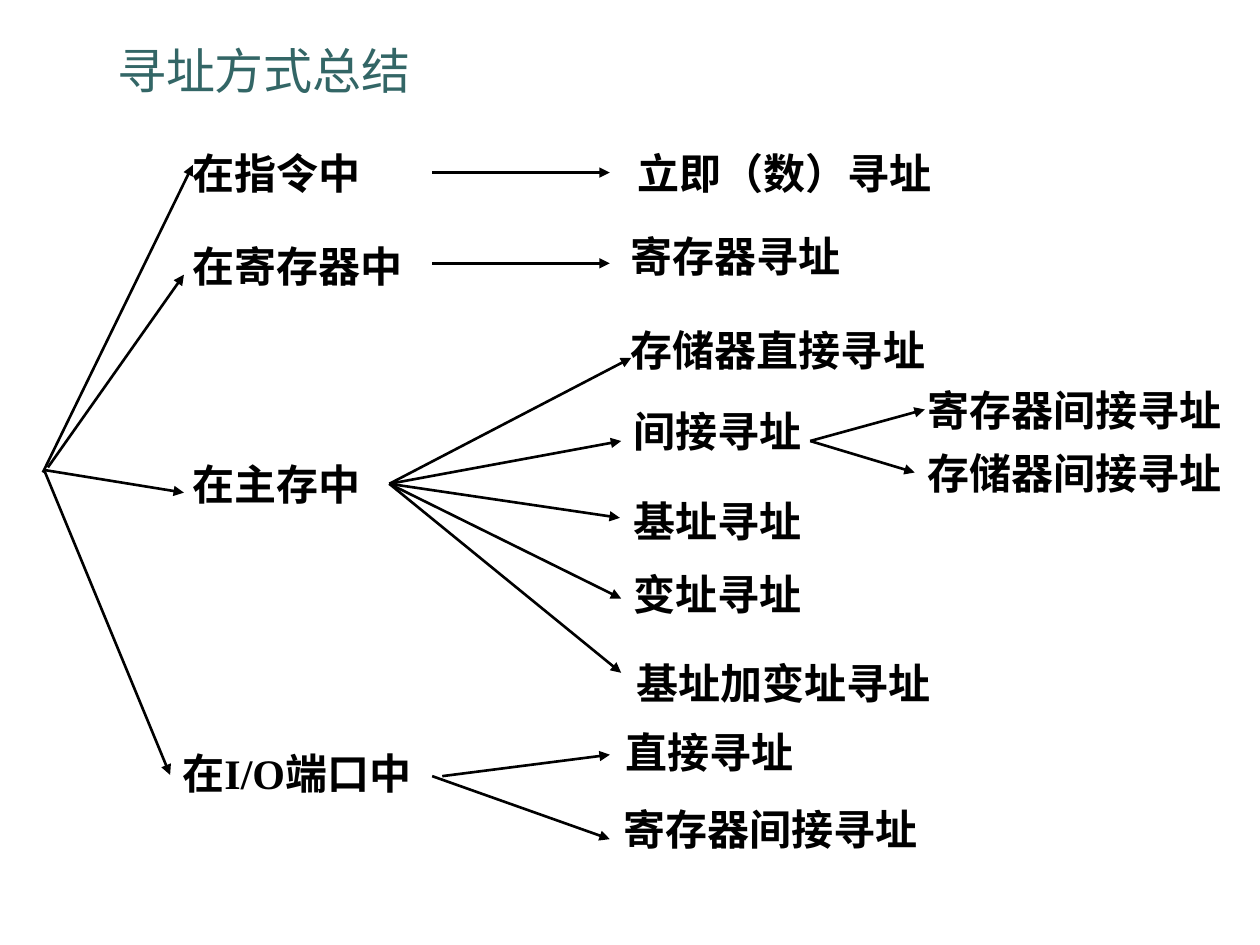
from lxml import etree
from pptx import Presentation
from pptx.dml.color import RGBColor
from pptx.enum import shapes, text
from pptx.oxml.ns import qn
from pptx.util import Inches, Pt

COLORS = {"title": "336666", "ink": "000000"}
LATIN, ASIAN = "Times New Roman", "Noto Sans CJK SC"
TITLE = "寻址方式总结"

# label, left, top
LABELS = [
    ("在指令中", 1.43, 1.12),
    ("在寄存器中", 1.43, 1.86),
    ("在主存中", 1.43, 3.59),
    ("在I/O端口中", 1.35, 5.88),
    ("立即（数）寻址", 4.96, 1.12),
    ("寄存器寻址", 4.91, 1.78),
    ("存储器直接寻址", 4.91, 2.53),
    ("间接寻址", 4.93, 3.17),
    ("基址寻址", 4.93, 3.88),
    ("变址寻址", 4.93, 4.46),
    ("基址加变址寻址", 4.95, 5.17),
    ("直接寻址", 4.87, 5.72),
    ("寄存器间接寻址", 4.85, 6.33),
    ("寄存器间接寻址", 7.26, 3),
    ("存储器间接寻址", 7.26, 3.5),
]

# start point, end points
FANS = [
    ((0.34, 3.75), [(1.53, 1.31)]),
    ((0.38, 3.71), [(1.46, 2.18)]),
    ((0.35, 3.73), [(1.46, 3.91), (1.35, 6.15)]),
    ((3.43, 1.37), [(4.84, 1.37)]),
    ((3.43, 2.09), [(4.84, 2.09)]),
    ((3.09, 3.84), [(5.01, 2.84), (4.93, 3.5), (4.92, 4.11),
                    (4.93, 4.75), (4.93, 5.34)]),
    ((3.51, 6.16), [(4.84, 5.99)]),
    ((3.43, 6.16), [(4.84, 6.66)]),
    ((6.43, 3.5), [(7.34, 3.25), (7.26, 3.75)]),
]


def style(frame, words, size, color, latin, bold):
    frame.text = words
    para = frame.paragraphs[0]
    para.alignment = text.PP_ALIGN.LEFT
    font = para.runs[0].font
    font.size, font.bold, font.name = Pt(size), bold, latin
    font.color.rgb = RGBColor.from_string(COLORS[color])
    props = para.runs[0]._r.get_or_add_rPr()
    etree.SubElement(props, qn("a:ea"), typeface=ASIAN)


def width(words):
    """Box width: a full 24 pt square per wide character, plus insets."""
    ems = sum(1 if ord(c) > 255 else 0.64 for c in words)
    return round(0.2 + ems / 3, 2)


def label(slide, words, left, top):
    box = slide.shapes.add_textbox(
        *map(Inches, (left, top, width(words), 0.5)))
    frame = box.text_frame
    style(frame, words, 24, "ink", LATIN, True)
    frame.word_wrap = False
    frame.auto_size = text.MSO_AUTO_SIZE.SHAPE_TO_FIT_TEXT


def arrow(slide, start, end):
    link = slide.shapes.add_connector(
        shapes.MSO_CONNECTOR.STRAIGHT, *map(Inches, start + end))
    link.line.width = Pt(1.5)
    link.line.color.rgb = RGBColor.from_string(COLORS["ink"])
    etree.SubElement(link.line._get_or_add_ln(), qn("a:tailEnd"),
                     type="triangle")
    etree.SubElement(link._element.spPr, qn("a:effectLst"))


def main():
    deck = Presentation()
    deck.slide_width, deck.slide_height = Inches(10), Inches(7.5)
    slide = deck.slides.add_slide(deck.slide_layouts[5])

    title = slide.shapes.title
    title.left, title.top = Inches(0.83), Inches(0.27)
    title.width, title.height = Inches(8.42), Inches(0.57)
    style(title.text_frame, TITLE, 28, "title", ASIAN, False)
    title.text_frame.vertical_anchor = text.MSO_ANCHOR.BOTTOM
    title.text_frame.auto_size = text.MSO_AUTO_SIZE.NONE

    for item in LABELS:
        label(slide, *item)
    for start, ends in FANS:
        for end in ends:
            arrow(slide, start, end)
    deck.save("out.pptx")


if __name__ == "__main__":
    main()
